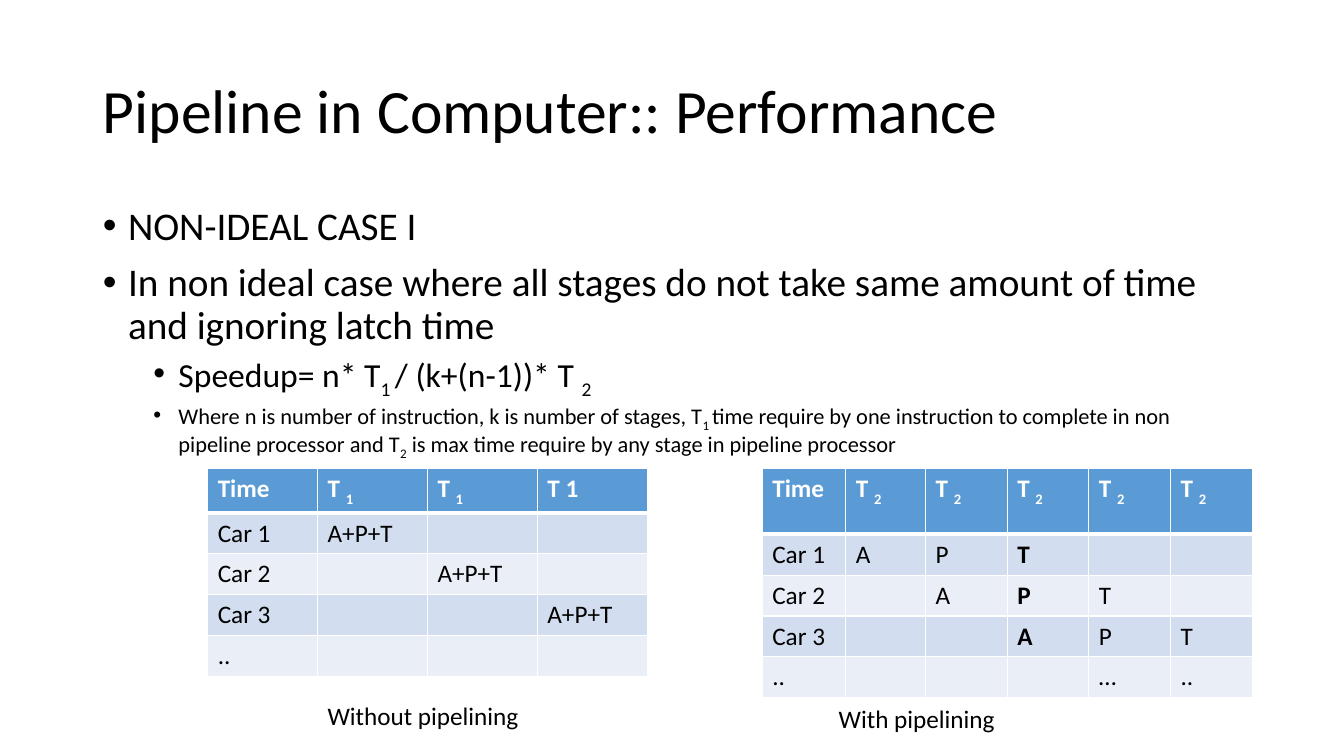
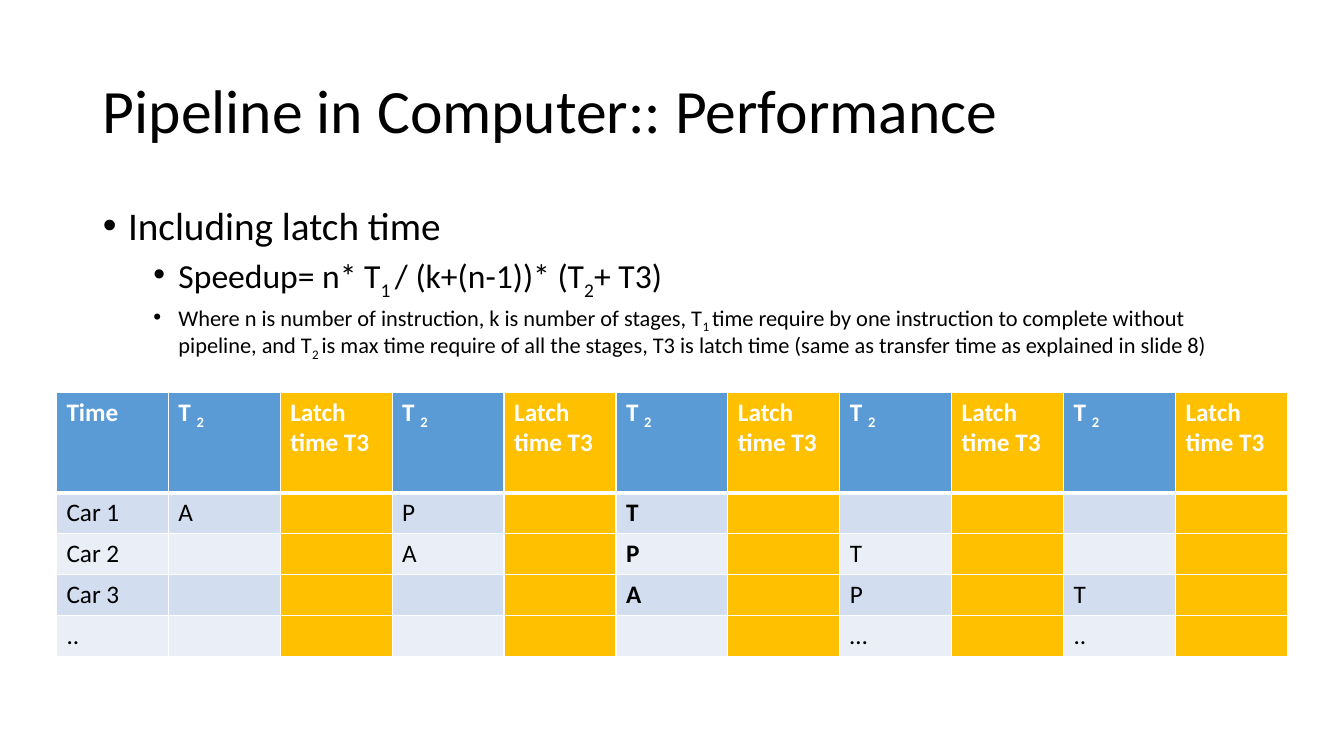
from dataclasses import dataclass
from itertools import chain

from lxml.etree import SubElement
from pptx import Presentation
from pptx.dml.color import RGBColor as RGB
from pptx.enum.text import MSO_ANCHOR as Anchor, MSO_AUTO_SIZE as AutoSize, PP_ALIGN as Align
from pptx.oxml.ns import qn
from pptx.util import Inches, Pt


@dataclass(frozen=True)
class Theme:
    font: str = "Calibri"
    ink: str = "000000"
    paper: str = "FFFFFF"
    header: str = "5B9BD5"
    bands: tuple = ("D2DEEF", "EAEFF7")
    latch: str = "FFC000"
    title_size: int = 44
    point_size: int = 28
    formula_size: int = 24
    note_size: int = 16
    table_size: int = 18


THEME = Theme()
TITLE = "Pipeline in Computer:: Performance"
TITLE_BOX = (0.92, 0.4, 11.5, 1.45)
BODY_BOX = (0.92, 2, 11.5, 4.76)
ROW_HEIGHT = 0.4
SUBSCRIPT = {"baseline": "-25000"}

# Text between two tildes is set as subscript.
SERIAL_ROWS = [
    ["Time", "T ~1~", "T ~1~", "T 1"],
    ["Car 1", "A+P+T", "", ""],
    ["Car 2", "", "A+P+T", ""],
    ["Car 3", "", "", "A+P+T"],
    ["..", "", "", ""],
]
PIPELINE_ROWS = [
    ["Time"] + ["T ~2~"] * 5,
    ["Car 1", "A", "P", "T", "", ""],
    ["Car 2", "", "A", "P", "T", ""],
    ["Car 3", "", "", "A", "P", "T"],
    ["..", "", "", "", "…", ".."],
]


def set_values(target, values):
    for name, value in values.items():
        setattr(target, name, value)


def place(shape, box):
    set_values(shape, dict(zip(("left", "top", "width", "height"), map(Inches, box))))


def write(paragraph, text, size, color=THEME.ink, bold=False):
    """Fill a paragraph, with the parts between tildes as subscript."""
    for index, part in enumerate(text.split("~")):
        if not part:
            continue
        run = paragraph.add_run()
        run.text = part
        set_values(run.font, {"name": THEME.font, "size": Pt(size), "bold": bold})
        run.font.color.rgb = RGB.from_string(color)
        if index % 2:
            run.font._element.attrib.update(SUBSCRIPT)


def add_bullet(paragraph, level):
    properties = paragraph._p.get_or_add_pPr()
    properties.set("marL", str(Inches(0.25 + 0.5 * level)))
    properties.set("indent", str(Inches(-0.25)))
    SubElement(properties, qn("a:buFont")).set("typeface", "Arial")
    SubElement(properties, qn("a:buChar")).set("char", "•")


def fill_title(title):
    set_values(title.text_frame, {"vertical_anchor": Anchor.MIDDLE, "auto_size": AutoSize.NONE})
    heading = title.text_frame.paragraphs[0]
    set_values(heading, {"alignment": Align.LEFT, "line_spacing": 0.9})
    write(heading, TITLE, THEME.title_size)


def fill_body(body, points):
    """Write (level, size, text) points into the body placeholder."""
    frame = body.text_frame
    frame.auto_size = AutoSize.NONE
    for index, (level, size, text) in enumerate(points):
        point = frame.add_paragraph() if index else frame.paragraphs[0]
        before = (5 if level else 10) if index else 0
        set_values(point, {"level": level, "line_spacing": 0.9,
                           "space_before": Pt(before), "space_after": Pt(0)})
        add_bullet(point, level)
        write(point, text, size)


def add_titled_slide(deck, points):
    slide = deck.slides.add_slide(deck.slide_layouts[1])
    fill_title(slide.shapes.title)
    fill_body(slide.placeholders[1], points)
    return slide


def add_borders(cell, bottom):
    properties = cell._tc.get_or_add_tcPr()
    for side, width in (("L", 1), ("R", 1), ("T", 1), ("B", bottom)):
        line = SubElement(properties, qn(f"a:ln{side}"), w=str(Pt(width)))
        color = SubElement(SubElement(line, qn("a:solidFill")), qn("a:srgbClr"))
        color.set("val", THEME.paper)


def add_schedule(slide, left, top, rows, widths, header_height, bold_column=None, latch_columns=()):
    heights = [header_height] + [ROW_HEIGHT] * (len(rows) - 1)
    box = map(Inches, (left, top, sum(widths), sum(heights)))
    table = slide.shapes.add_table(len(rows), len(widths), *box).table
    for column, width in zip(table.columns, widths):
        column.width = Inches(width)
    for r, (texts, height) in enumerate(zip(rows, heights)):
        table.rows[r].height = Inches(height)
        is_header = r == 0
        band = THEME.header if is_header else THEME.bands[(r - 1) % 2]
        color = THEME.paper if is_header else THEME.ink
        for c, text in enumerate(texts):
            cell = table.cell(r, c)
            add_borders(cell, bottom=3 if is_header else 1)
            cell.fill.solid()
            cell.fill.fore_color.rgb = RGB.from_string(THEME.latch if c in latch_columns else band)
            paragraph = cell.text_frame.paragraphs[0]
            if text:
                write(paragraph, text, THEME.table_size, color, is_header or c == bold_column)
            else:
                paragraph.font.size = Pt(THEME.table_size)


def add_caption(slide, box, text):
    frame = slide.shapes.add_textbox(*map(Inches, box)).text_frame
    set_values(frame, {"word_wrap": False, "auto_size": AutoSize.SHAPE_TO_FIT_TEXT})
    write(frame.paragraphs[0], text, THEME.table_size)


def with_latches(rows):
    """Put a latch column after each stage column."""
    labels = ["Latch time T3"] + [""] * (len(rows) - 1)
    return [[row[0], *chain.from_iterable((stage, label) for stage in row[1:])]
            for row, label in zip(rows, labels)]


def build_non_ideal_slide(deck):
    slide = add_titled_slide(deck, [
        (0, THEME.point_size, "NON-IDEAL CASE I"),
        (0, THEME.point_size, "In non ideal case where all stages do not take same amount of time "
                              "and ignoring latch time"),
        (1, THEME.formula_size, "Speedup= n* T~1 ~/ (k+(n-1))* T ~2~"),
        (1, THEME.note_size, "Where n is number of instruction, k is number of stages, T~1 ~time "
                             "require by one instruction to complete in non pipeline processor "
                             "and T~2~ is max time require by any stage in pipeline processor"),
    ])
    add_schedule(slide, 7.56, 4.65, PIPELINE_ROWS, [0.83, 0.79] + [0.81] * 4, 0.65, bold_column=3)
    add_schedule(slide, 2.06, 4.65, SERIAL_ROWS, [1.09] * 4, 0.4)
    add_caption(slide, (3.15, 6.9, 2.18, 0.4), "Without pipelining")
    add_caption(slide, (8.22, 6.93, 1.83, 0.4), "With pipelining")


def build_latch_slide(deck):
    slide = add_titled_slide(deck, [
        (0, THEME.point_size, "Including latch time"),
        (1, THEME.formula_size, "Speedup= n* T~1 ~/ (k+(n-1))* (T~2~+ T3)"),
        (1, THEME.note_size, "Where n is number of instruction, k is number of stages, T~1 ~time "
                             "require by one instruction to complete without pipeline, and T~2 ~is "
                             "max time require of all the stages, T3 is latch time (same as "
                             "transfer time as explained in slide 8)"),
    ])
    rows = with_latches(PIPELINE_ROWS)
    columns = len(rows[0])
    add_schedule(slide, 0.56, 3.89, rows, [1.11] * columns, 1, bold_column=5,
                 latch_columns=range(2, columns, 2))


def main():
    deck = Presentation()
    set_values(deck, {"slide_width": Inches(13.33), "slide_height": Inches(7.5)})
    for placeholder, box in zip(deck.slide_layouts[1].placeholders, (TITLE_BOX, BODY_BOX)):
        place(placeholder, box)
    build_non_ideal_slide(deck)
    build_latch_slide(deck)
    deck.save("out.pptx")


if __name__ == "__main__":
    main()
